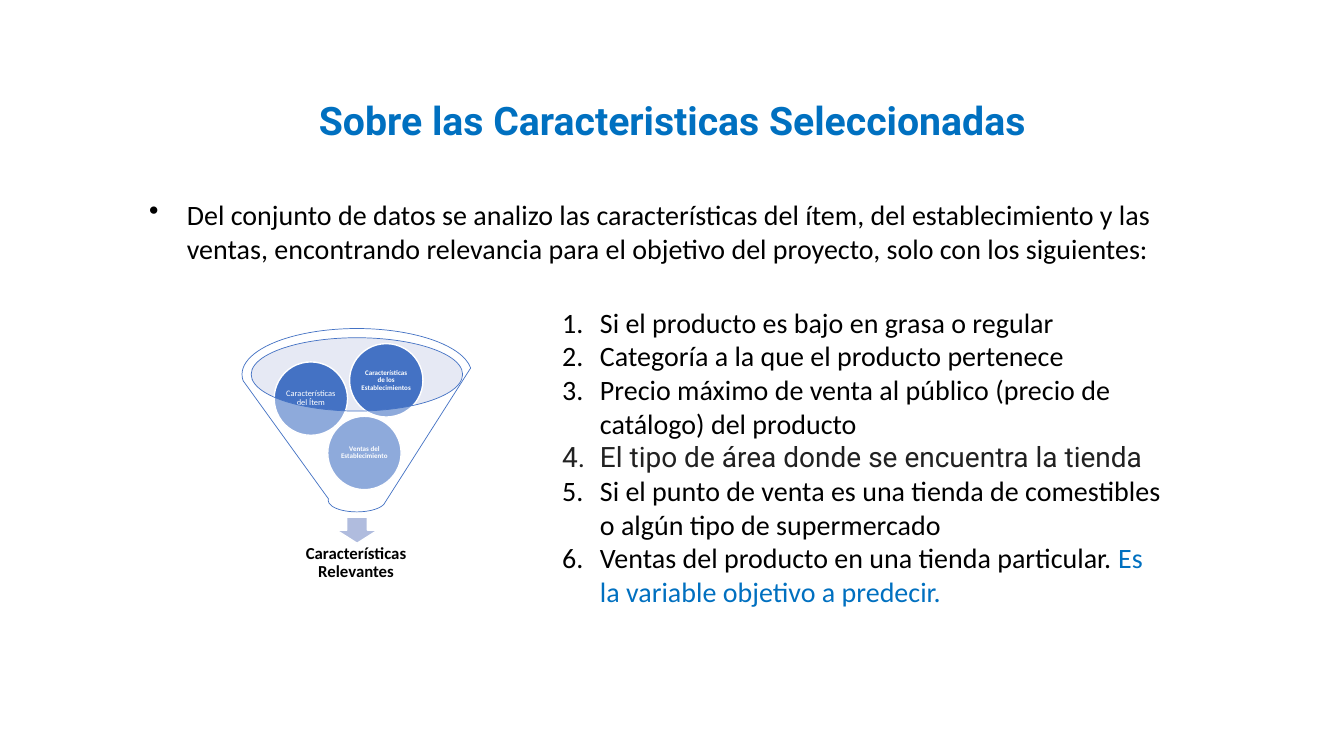
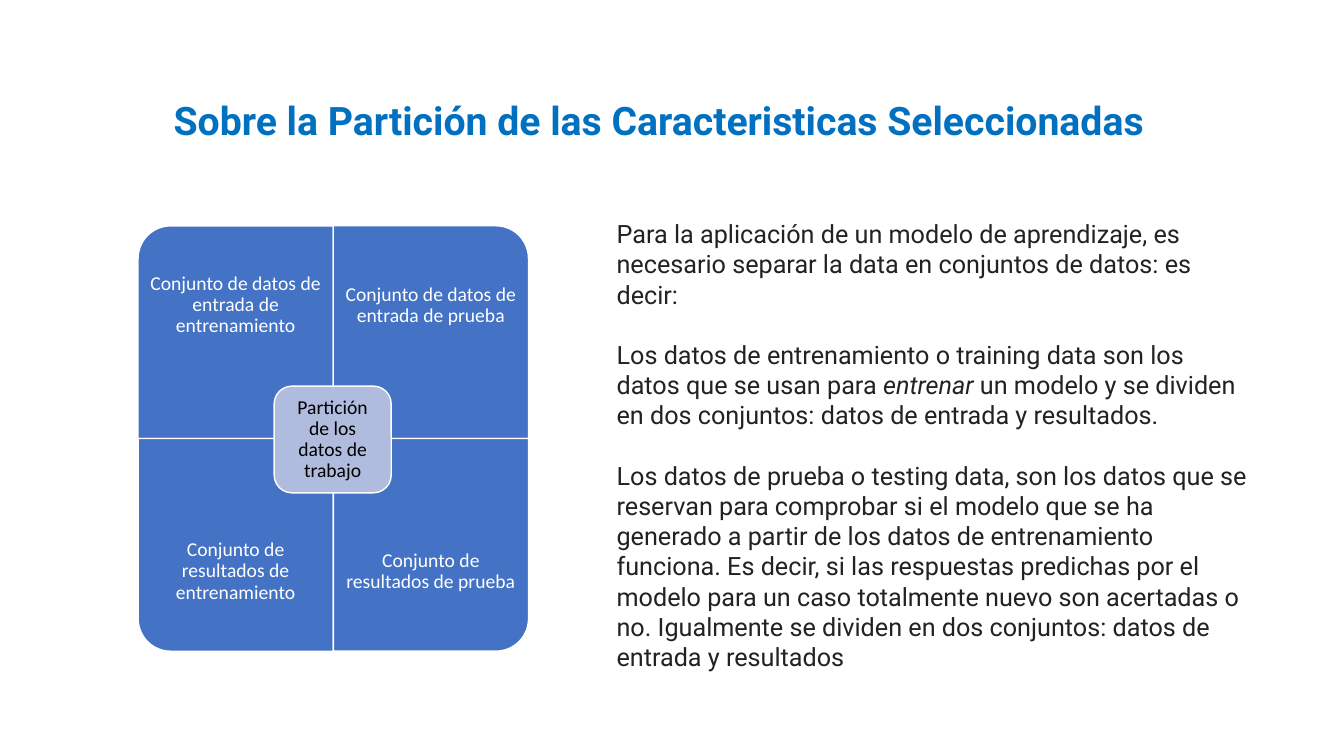
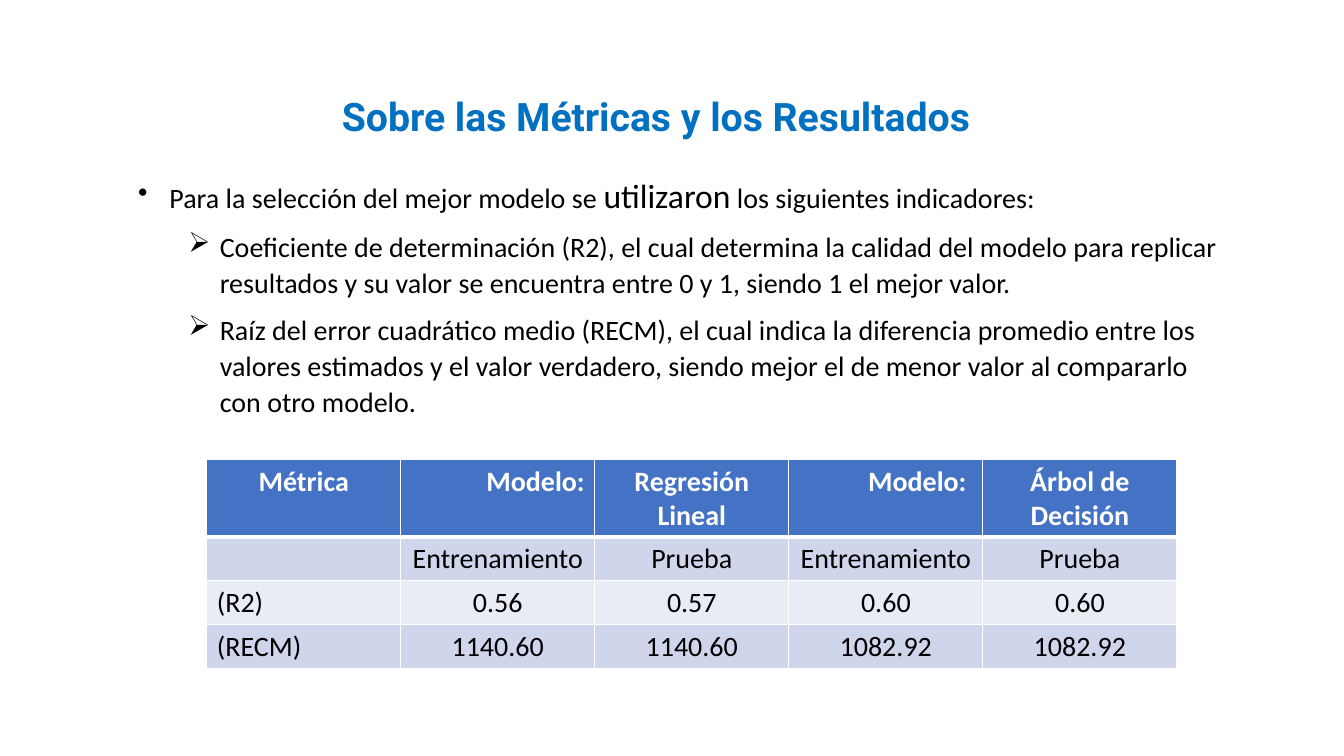
from lxml import etree
from pptx import Presentation
from pptx import util as u
from pptx.dml.color import RGBColor
from pptx.enum import shapes, text
from pptx.oxml.ns import qn

Cm, Pt = u.Cm, u.Pt
SHAPE, ALIGN, ANCHOR = shapes.MSO_SHAPE, text.PP_ALIGN, text.MSO_ANCHOR

BODY_FONT, TITLE_FONT = "Calibri", "Roboto"
BLACK, WHITE, TITLE_BLUE = "000000", "FFFFFF", "0070C0"
BLUE, PALE_BLUE, MIST = "4472C4", "B0BCDE", "C1C9E4"
BAND_DARK, BAND_LIGHT = "CFD5EA", "E9EBF5"
DIAGRAM = {"align": ALIGN.CENTER, "line_spacing": 0.9}


def rgb(value):
    return RGBColor.from_string(value)


def set_font(font, size=None, name=None, color=None, bold=None, italic=None):
    if size:
        font.size = Pt(size)
    if name:
        font.name = name
    if color:
        font.color.rgb = rgb(color)
    if bold is not None:
        font.bold = bold
    if italic is not None:
        font.italic = italic


class Deck:
    """Holds the presentation, its style and the current slide."""

    def __init__(self):
        self.presentation = Presentation()
        self.presentation.slide_width = Cm(33.87)
        self.presentation.slide_height = Cm(19.05)
        self.slide = None

    def new_slide(self, title, left, top, width):
        self.slide = self.presentation.slides.add_slide(self.presentation.slide_layouts[6])
        frame = self.text_box(left, top, width, 1.45)
        self.paragraph(frame, title, align=ALIGN.CENTER, size=28, name=TITLE_FONT,
                       color=TITLE_BLUE, bold=True)

    def prepare(self, frame, inset, anchor):
        frame.word_wrap = True
        frame.vertical_anchor = anchor
        if inset is not None:
            frame.margin_left = frame.margin_right = Cm(inset)
            frame.margin_top = frame.margin_bottom = Cm(inset)
        return frame

    def text_box(self, left, top, width, height, inset=None, anchor=ANCHOR.TOP):
        box = self.slide.shapes.add_textbox(Cm(left), Cm(top), Cm(width), Cm(height))
        return self.prepare(box.text_frame, inset, anchor)

    def shape(self, kind, left, top, width, height, fill, line=None, line_width=1,
              rotation=0, opacity=None, inset=0):
        """Add a preset shape and return its text frame."""
        shape = self.slide.shapes.add_shape(kind, Cm(left), Cm(top), Cm(width), Cm(height))
        shape.shadow.inherit = False
        shape.rotation = rotation
        shape.fill.solid()
        shape.fill.fore_color.rgb = rgb(fill)
        if opacity is not None:
            color = shape.element.spPr.find(qn("a:solidFill")).find(qn("a:srgbClr"))
            etree.SubElement(color, qn("a:alpha"), val=str(opacity * 1000))
        if line:
            shape.line.color.rgb = rgb(line)
            shape.line.width = Pt(line_width)
        else:
            shape.line.fill.background()
        return self.prepare(shape.text_frame, inset, ANCHOR.MIDDLE)

    def paragraph(self, frame, parts, align=ALIGN.LEFT, line_spacing=None, before=None,
                  after=None, bullet=None, indent=0, hanging=0, level=0,
                  size=20, name=BODY_FONT, color=BLACK, bold=None):
        """Add a paragraph; parts is a string or a list of (text, font changes)."""
        paragraph = frame.paragraphs[0]
        if paragraph.runs:
            paragraph = frame.add_paragraph()
        paragraph.alignment = align
        paragraph.level = level
        if line_spacing:
            paragraph.line_spacing = line_spacing
        if before:
            paragraph.space_before = Pt(before)
        if after:
            paragraph.space_after = Pt(after)
        if bullet:
            properties = paragraph._p.get_or_add_pPr()
            properties.set("marL", str(Cm(indent)))
            properties.set("indent", str(-Cm(hanging)))
            if bullet == "1.":
                etree.SubElement(properties, qn("a:buAutoNum"), type="arabicPeriod")
            else:
                etree.SubElement(properties, qn("a:buChar"), char=bullet)
        set_font(paragraph.font, size, name, color, bold)
        for content, changes in [(parts, {})] if isinstance(parts, str) else parts:
            run = paragraph.add_run()
            run.text = content
            set_font(run.font, **changes)

    def borders(self, cell, bottom):
        properties = cell._tc.get_or_add_tcPr()
        for index, (side, width) in enumerate(
                [("lnL", 1), ("lnR", 1), ("lnT", 1), ("lnB", bottom)]):
            line = etree.Element(qn(f"a:{side}"), w=str(Pt(width)))
            fill = etree.SubElement(line, qn("a:solidFill"))
            etree.SubElement(fill, qn("a:srgbClr"), val=WHITE)
            properties.insert(index, line)

    def table(self, left, top, column_width, row_heights, rows, fills):
        columns = len(rows[0])
        table = self.slide.shapes.add_table(
            len(rows), columns, Cm(left), Cm(top),
            Cm(column_width * columns), Cm(sum(row_heights))).table
        for column in table.columns:
            column.width = Cm(column_width)
        for r, values in enumerate(rows):
            table.rows[r].height = Cm(row_heights[r])
            header = r == 0
            for c, value in enumerate(values):
                cell = table.cell(r, c)
                cell.fill.solid()
                cell.fill.fore_color.rgb = rgb(fills[r])
                cell.vertical_anchor = ANCHOR.MIDDLE if r > 1 else ANCHOR.TOP
                self.borders(cell, 3 if header else 1)
                align = ALIGN.CENTER
                if value.startswith("Modelo"):
                    align = ALIGN.RIGHT
                elif value.startswith("("):
                    align = ALIGN.LEFT
                if value:
                    self.paragraph(cell.text_frame, value, align=align, bold=header,
                                   color=WHITE if header else BLACK)


def features_slide(deck):
    deck.new_slide("Sobre las Caracteristicas Seleccionadas", 6.88, 2.31, 20.12)
    intro = deck.text_box(3.51, 4.85, 26.42, 1.96)
    deck.paragraph(intro, "Del conjunto de datos se analizo las características del ítem, del "
                   "establecimiento y las ventas, encontrando relevancia para el objetivo del "
                   "proyecto, solo con los siguientes:", bullet="•", indent=0.95, hanging=0.95)

    deck.shape(SHAPE.OVAL, 6.32, 8.51, 5.33, 1.85, MIST, opacity=40)
    deck.shape(SHAPE.DOWN_ARROW, 8.48, 13.03, 1.04, 0.66, PALE_BLUE, WHITE)
    result = deck.text_box(6.5, 13.56, 4.95, 1.24, 0.23, ANCHOR.MIDDLE)
    deck.paragraph(result, "Características Relevantes", size=12, bold=True, **DIAGRAM)
    for label, left, top, size, bold in [
            ("Ventas del Establecimiento", 8.26, 10.49, 5, True),
            ("Características del Ítem", 6.91, 9.12, 6, False),
            ("Características de los Establecimientos", 8.81, 8.66, 5, True)]:
        ball = deck.shape(SHAPE.OVAL, left, top, 1.85, 1.85, BLUE, WHITE, inset=0.03)
        deck.paragraph(ball, label, size=size, color=WHITE, bold=bold, **DIAGRAM)
    deck.shape(SHAPE.FUNNEL, 6.1, 8.28, 5.79, 4.62, WHITE, BLUE, 0.5, opacity=40)

    features = deck.text_box(12.65, 7.57, 16.94, 7.95)
    for parts, style in [
            ("Si el producto es bajo en grasa o regular", {}),
            ("Categoría a la que el producto pertenece", {}),
            ("Precio máximo de venta al público (precio de catálogo) del producto", {}),
            ("El tipo de área donde se encuentra la tienda",
             {"name": TITLE_FONT, "color": "212121"}),
            ("Si el punto de venta es una tienda de comestibles o algún tipo de supermercado", {}),
            ([("Ventas del producto en una tienda particular. ", {}),
              ("Es la variable objetivo a predecir.", {"color": TITLE_BLUE})], {})]:
        deck.paragraph(features, parts, bullet="1.", indent=2.22, hanging=0.95, level=1, **style)


def partition_slide(deck):
    deck.new_slide("Sobre la Partición de las Caracteristicas Seleccionadas", 3.48, 2.31, 26.24)
    left, top, width, height, label_height = 3.48, 5.69, 4.92, 5.36, 4.01
    for label, column, row, rotation in [
            ("Conjunto de datos de entrada de entrenamiento", 0, 0, 270),
            ("Conjunto de datos de entrada de prueba", 1, 0, 0),
            ("Conjunto de resultados de entrenamiento", 0, 1, 180),
            ("Conjunto de resultados de prueba", 1, 1, 90)]:
        x, y = left + column * width, top + row * height
        # A quarter turn swaps width and height around the same centre.
        shift = (height - width) / 2 if rotation % 180 else 0
        deck.shape(SHAPE.ROUND_1_RECTANGLE, x - shift, y + shift, width + 2 * shift,
                   height - 2 * shift, BLUE, WHITE, rotation=rotation)
        frame = deck.text_box(x, y + row * (height - label_height), width, label_height,
                              0.28, ANCHOR.MIDDLE)
        deck.paragraph(frame, label, size=14, color=WHITE, **DIAGRAM)
    center = deck.shape(SHAPE.ROUNDED_RECTANGLE, 6.91, 9.73, 2.95, 2.69, PALE_BLUE, WHITE,
                        inset=0.15)
    deck.paragraph(center, "Partición de los datos de trabajo", size=14, **DIAGRAM)

    explanation = deck.text_box(15.29, 5.38, 16.46, 12.2)
    for index, parts in enumerate([
            "Para la aplicación de un modelo de aprendizaje, es necesario separar la data en "
            "conjuntos de datos: es decir:",
            [("Los datos de entrenamiento o training data son los datos que se usan para ", {}),
             ("entrenar ", {"italic": True}),
             ("un modelo y se dividen en dos conjuntos: datos de entrada y resultados.", {})],
            "Los datos de prueba o testing data, son los datos que se reservan para comprobar si "
            "el modelo que se ha generado a partir de los datos de entrenamiento funciona. Es "
            "decir, si las respuestas predichas por el modelo para un caso totalmente nuevo son "
            "acertadas o no. Igualmente se dividen en dos conjuntos: datos de entrada y "
            "resultados"]):
        deck.paragraph(explanation, parts, before=21.5 if index else None, size=18,
                       name=TITLE_FONT, color="222222")


def results_slide(deck):
    deck.new_slide("Sobre las Métricas y los Resultados", 7.21, 2.21, 18.64)
    deck.table(5.21, 11.58, 4.89, [1.9, 1.09, 1.1, 1.1], [
        ["Métrica", "Modelo:", "Regresión Lineal", "Modelo: ", "Árbol de Decisión"],
        ["", "Entrenamiento", "Prueba", "Entrenamiento", "Prueba"],
        ["(R2)", "0.56", "0.57", "0.60", "0.60"],
        ["(RECM)", "1140.60", "1140.60", "1082.92", "1082.92"],
    ], [BLUE, BAND_DARK, BAND_LIGHT, BAND_DARK])

    metrics = deck.text_box(3.23, 4.22, 27.99, 6.45)
    spacing = {"line_spacing": 1.07, "after": 8, "hanging": 0.79}
    deck.paragraph(metrics, [("Para la selección del mejor modelo se ", {}),
                             ("utilizaron", {"size": 24}),
                             (" los siguientes indicadores:", {})],
                   bullet="•", indent=0.79, **spacing)
    for metric in [
            "Coeficiente de determinación (R2), el cual determina la calidad del modelo para "
            "replicar resultados y su valor se encuentra entre 0 y 1, siendo 1 el mejor valor.",
            "Raíz del error cuadrático medio (RECM), el cual indica la diferencia promedio entre "
            "los valores estimados y el valor verdadero, siendo mejor el de menor valor al "
            "compararlo con otro modelo."]:
        deck.paragraph(metrics, metric, bullet="➢", indent=2.06, level=1, **spacing)


def main():
    deck = Deck()
    features_slide(deck)
    partition_slide(deck)
    results_slide(deck)
    deck.presentation.save("out.pptx")


if __name__ == "__main__":
    main()
